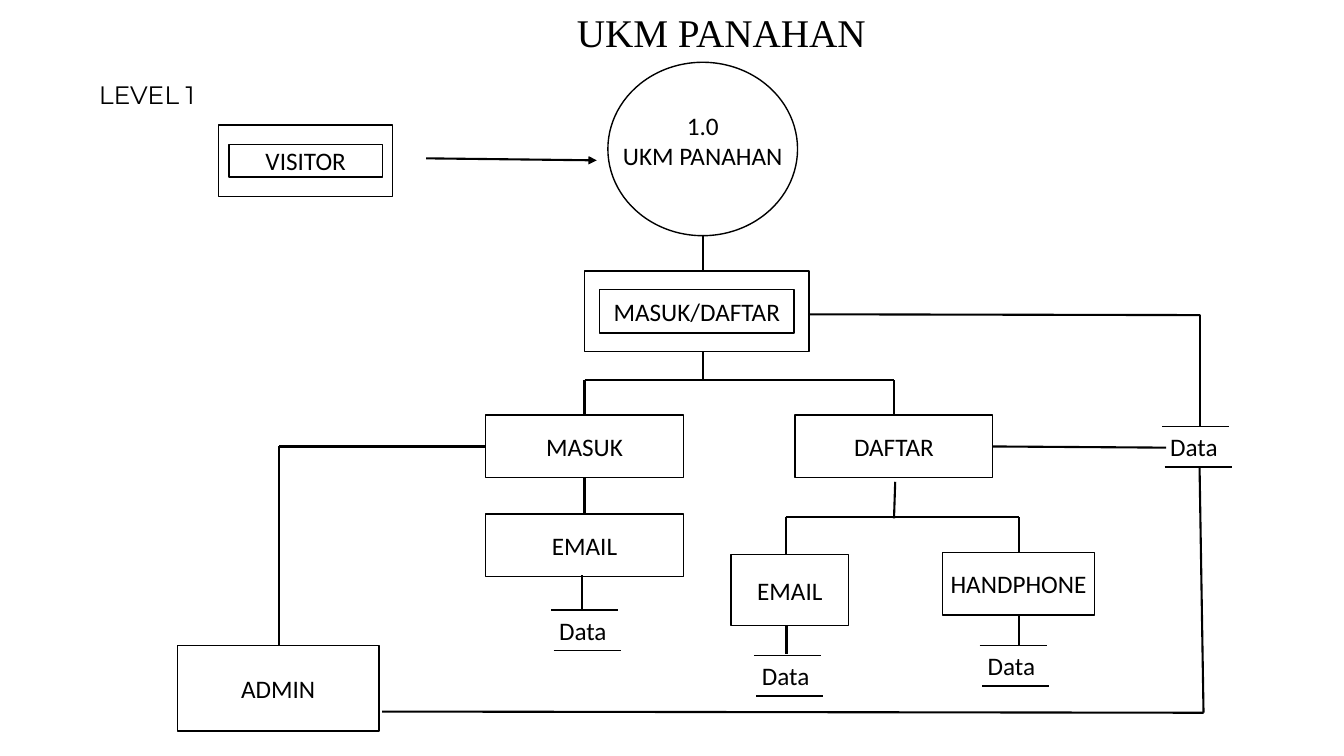
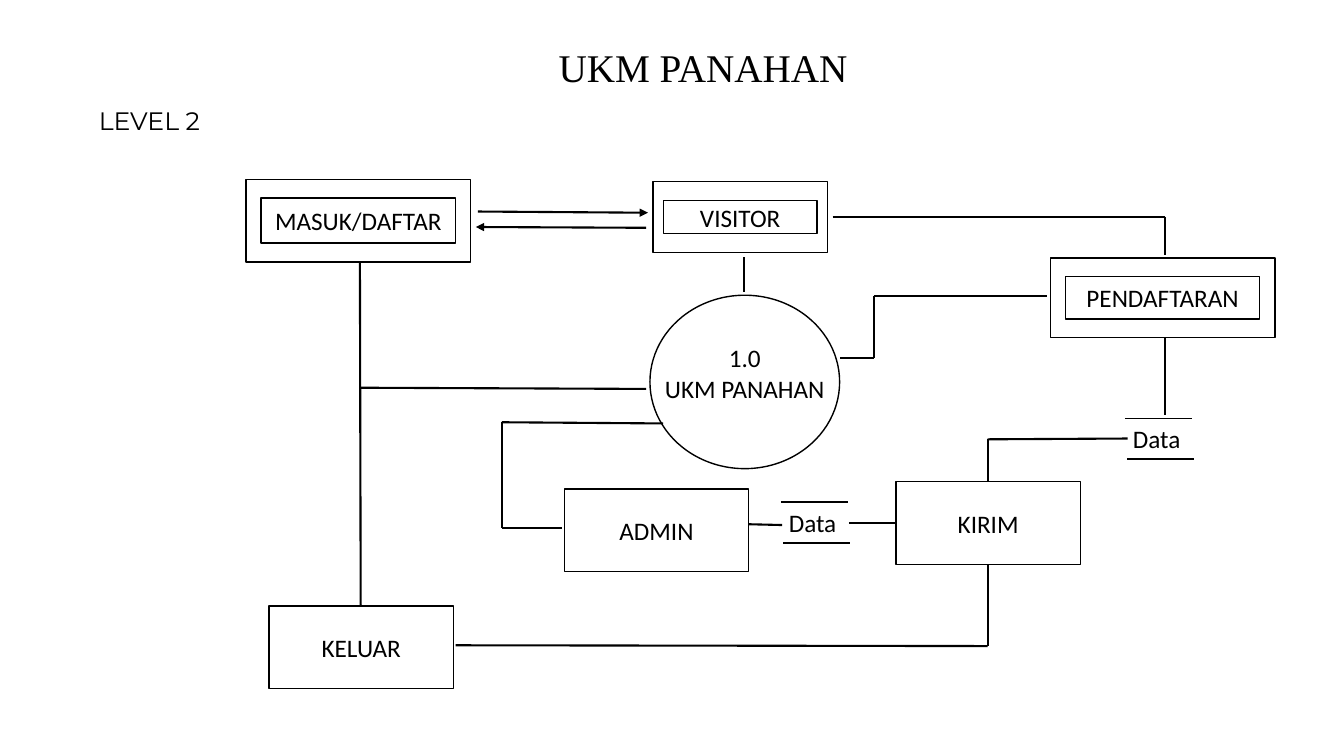
"""Builds the level 1 and level 2 data flow diagrams of UKM PANAHAN."""
from itertools import pairwise

from lxml.etree import SubElement
from pptx import Presentation
from pptx.dml.color import RGBColor
from pptx.enum.shapes import MSO_CONNECTOR, MSO_SHAPE
from pptx.enum.text import MSO_ANCHOR, MSO_AUTO_SIZE, PP_ALIGN
from pptx.oxml.ns import qn
from pptx.util import Cm, Pt

BLACK, WHITE = "000000", "FFFFFF"
BODY, LABEL, HEADING = "Calibri", "Montserrat", "Times New Roman"
TITLE = "UKM PANAHAN"
PROCESS = "1.0\nUKM PANAHAN"
TITLE_SIZE = (11.15, 1.45)
LEVEL_SIZE = (4.04, 1.02)
PROCESS_SIZE = (4.78, 4.37)
STORE_SIZE = (2.13, 1.02)
STORE_RULES = [(0.05, 0), (0.11, 1.03)]
STORE_RULE_WIDTH = 1.69
VISITOR_PAD, FORM_PAD = (0.26, 0.49), (0.38, 0.47)

LEVELS = [
    {
        "title": (12.6, 0.08),
        "level": ("LEVEL 1", 2.24, 1.88),
        "process": (15.32, 1.57),
        "framed": [
            ("VISITOR", 5.51, 3.15, 4.39, 1.8, VISITOR_PAD),
            ("MASUK/DAFTAR", 14.73, 6.83, 5.66, 2.03, FORM_PAD),
        ],
        "boxes": [
            ("MASUK", 12.24, 10.46, 4.98, 1.58),
            ("DAFTAR", 20.04, 10.46, 4.98, 1.58),
            ("EMAIL", 12.24, 12.95, 4.98, 1.58),
            ("EMAIL", 18.42, 13.97, 2.97, 1.8),
            ("HANDPHONE", 23.75, 13.92, 3.84, 1.58),
            ("ADMIN", 4.47, 16.26, 5.08, 2.16),
        ],
        "stores": [(13.84, 15.37), (18.95, 16.51), (24.64, 16.26), (29.24, 10.74)],
        "arrows": [[(10.74, 3.99), (15.04, 4.04)]],
        "routes": [
            [(17.71, 5.92), (17.71, 6.83)],
            [(17.71, 8.86), (17.71, 9.58)],
            [(14.73, 10.46), (14.73, 9.58), (22.52, 9.58), (22.52, 10.46)],
            [(14.73, 12.04), (14.73, 12.95)],
            [(22.56, 12.14), (22.53, 13.06)],
            [(19.8, 13.97), (19.8, 13.03), (25.68, 13.03), (25.68, 13.92)],
            [(14.66, 14.5), (14.66, 15.39)],
            [(19.82, 15.77), (19.82, 16.48)],
            [(25.68, 15.5), (25.68, 16.26)],
            [(25.02, 11.25), (29.39, 11.28)],
            [(20.39, 7.92), (30.25, 7.94), (30.25, 10.74)],
            [(30.23, 11.77), (30.33, 17.96), (9.63, 17.93)],
            [(7.04, 16.26), (7.04, 11.25), (12.24, 11.25)],
        ],
    },
    {
        "title": (12.14, 0.97),
        "level": ("LEVEL 2", 2.24, 2.54),
        "process": (16.38, 7.44),
        "framed": [
            ("MASUK/DAFTAR", 6.2, 4.52, 5.66, 2.08, FORM_PAD),
            ("VISITOR", 16.46, 4.57, 4.39, 1.8, VISITOR_PAD),
            ("PENDAFTARAN", 26.47, 6.5, 5.66, 2.01, FORM_PAD),
        ],
        "boxes": [
            ("ADMIN", 14.22, 12.32, 4.65, 2.08),
            ("KIRIM", 22.58, 12.14, 4.65, 2.08),
            ("KELUAR", 6.78, 15.27, 4.65, 2.08),
        ],
        "stores": [(28.3, 10.54), (19.63, 12.65)],
        "arrows": [
            [(12.04, 5.33), (16.33, 5.36)],
            [(16.28, 5.74), (11.99, 5.72)],
        ],
        "routes": [
            [(20.98, 5.46), (29.36, 5.46), (29.36, 6.43)],
            [(18.75, 6.48), (18.75, 7.37)],
            [(21.18, 9.03), (22.02, 9.03), (22.02, 7.47), (26.39, 7.47)],
            [(29.36, 8.51), (29.36, 10.46)],
            [(28.42, 11.05), (24.89, 11.07), (24.89, 12.14)],
            [(24.89, 14.22), (24.89, 16.28), (11.48, 16.26)],
            [(18.87, 13.21), (19.71, 13.23)],
            [(21.39, 13.18), (22.58, 13.18)],
            [(16.71, 10.67), (12.65, 10.64), (12.65, 13.31), (14.17, 13.31)],
            [(9.07, 6.6), (9.09, 15.27)],
            [(16.28, 9.8), (9.07, 9.77)],
        ],
    },
]


def rgb(value):
    """Turn a hex string into a colour."""
    return RGBColor.from_string(value)


def write(tf, text, font=BODY, size=18, align=PP_ALIGN.CENTER):
    """Fill a text frame and format its paragraphs."""
    tf.text = text
    for p in tf.paragraphs:
        p.alignment = align
        for r in p.runs:
            r.font.name = font
            r.font.size = Pt(size)
            r.font.color.rgb = rgb(BLACK)


def add_label(slide, text, x, y, size, font):
    """Add left-aligned text in a wrapping text box."""
    tf = slide.shapes.add_textbox(*map(Cm, (x, y, *size))).text_frame
    tf.word_wrap = True
    write(tf, text, font, align=PP_ALIGN.LEFT)


def add_node(slide, x, y, w, h, text="", kind=MSO_SHAPE.RECTANGLE, lift=0):
    """Add an outlined shape whose centred text can sit a little higher."""
    sp = slide.shapes.add_shape(kind, *map(Cm, (x, y, w, h)))
    sp.shadow.inherit = False
    sp.fill.solid()
    sp.fill.fore_color.rgb = rgb(WHITE)
    sp.line.color.rgb = rgb(BLACK)
    sp.line.width = Pt(1)
    tf = sp.text_frame
    tf.margin_left = tf.margin_right = tf.margin_top = 0
    tf.margin_bottom = Cm(lift)
    tf.word_wrap = False
    tf.vertical_anchor = MSO_ANCHOR.MIDDLE
    if text:
        write(tf, text)


def add_route(slide, points, width=1.5, arrow=False):
    """Join the points by straight connectors, with an optional arrowhead."""
    for start, end in pairwise(points):
        line = slide.shapes.add_connector(
            MSO_CONNECTOR.STRAIGHT, *map(Cm, (*start, *end)))
        line.line.color.rgb = rgb(BLACK)
        line.line.width = Pt(width)
        SubElement(line._element.spPr, qn("a:effectLst"))
    if arrow:
        SubElement(line.line._get_or_add_ln(), qn("a:tailEnd"), type="triangle")


def add_store(slide, x, y):
    """Add a data store: a word between two rules."""
    add_label(slide, "Data", x, y, STORE_SIZE, BODY)
    for dx, dy in STORE_RULES:
        left = x + dx
        add_route(slide, [(left, y + dy), (left + STORE_RULE_WIDTH, y + dy)], 1)


def add_title(slide, x, y):
    """Place and format the title placeholder."""
    sp = slide.shapes.title
    sp.left, sp.top, sp.width, sp.height = map(Cm, (x, y, *TITLE_SIZE))
    tf = sp.text_frame
    tf.auto_size = MSO_AUTO_SIZE.NONE
    tf.vertical_anchor = MSO_ANCHOR.TOP
    write(tf, TITLE, HEADING, 28)


def build_level(prs, level):
    """Draw one diagram on a new slide."""
    slide = prs.slides.add_slide(prs.slide_layouts[5])
    add_title(slide, *level["title"])
    add_label(slide, *level["level"], LEVEL_SIZE, LABEL)
    add_node(slide, *level["process"], *PROCESS_SIZE, PROCESS, MSO_SHAPE.OVAL, 0.45)
    for text, x, y, w, h, (dx, dy) in level["framed"]:
        add_node(slide, x, y, w, h)
        add_node(slide, x + dx, y + dy, w - 2 * dx, h - 2 * dy, text)
    for text, *box in level["boxes"]:
        add_node(slide, *box, text)
    for store in level["stores"]:
        add_store(slide, *store)
    for points in level["routes"]:
        add_route(slide, points)
    for points in level["arrows"]:
        add_route(slide, points, arrow=True)


def main():
    """Build and save the presentation."""
    prs = Presentation()
    prs.slide_width, prs.slide_height = Cm(33.87), Cm(19.05)
    for level in LEVELS:
        build_level(prs, level)
    prs.save("out.pptx")


if __name__ == "__main__":
    main()
